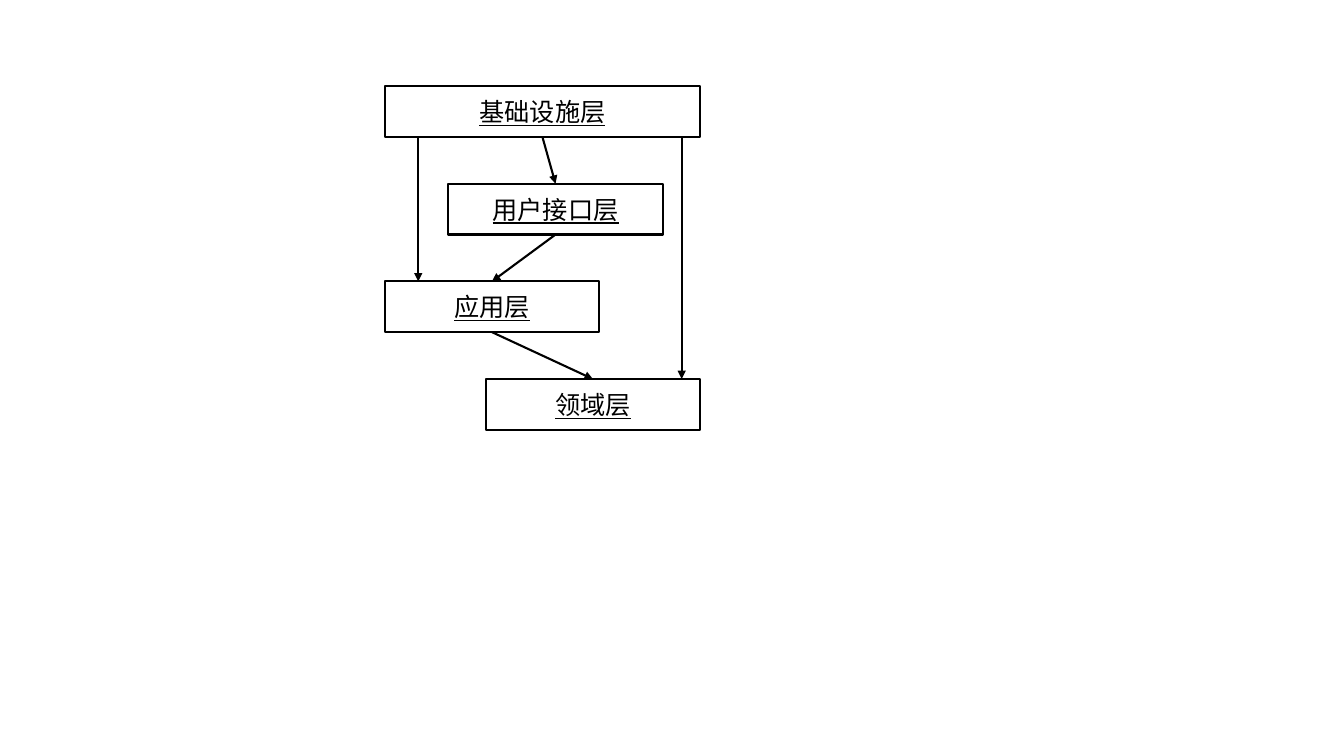
import pptx
import pptx.util
from lxml import etree
from pptx.dml.color import RGBColor
from pptx.enum.shapes import MSO_CONNECTOR, MSO_SHAPE
from pptx.enum.text import MSO_ANCHOR, PP_ALIGN
from pptx.oxml.ns import qn
from pptx.util import Cm, Pt

# Layers from top to bottom: name, left and width in cm
LAYERS = [
    ("基础设施层", 9.7, 7.94),
    ("用户接口层", 11.3, 5.4),
    ("应用层", 9.7, 5.4),
    ("领域层", 12.24, 5.4),
]
# Arrows between box centres: from layer, to layer
CENTRE_ARROWS = [(0, 1), (1, 2), (2, 3)]
# Vertical arrows: from layer, to layer, x in cm
VERTICAL_ARROWS = [(0, 2, 10.54), (0, 3, 17.18)]

FIRST_TOP, ROW_PITCH, BOX_HEIGHT = 2.17, 2.46, 1.28
BLACK = RGBColor(0x00, 0x00, 0x00)
FONT_NAME = "Noto Sans CJK SC"
FONT_FORMAT = {"name": FONT_NAME, "size": Pt(18), "underline": True}


def draw_outline(line):
    line.color.rgb = BLACK
    line.width = Pt(1.5)


def add_layer(slide, row, name, left, width):
    top = FIRST_TOP + row * ROW_PITCH
    box = slide.shapes.add_shape(
        MSO_SHAPE.RECTANGLE, Cm(left), Cm(top), Cm(width), Cm(BOX_HEIGHT))
    box.shadow.inherit = False
    box.fill.background()
    draw_outline(box.line)
    box.text_frame.vertical_anchor = MSO_ANCHOR.MIDDLE
    paragraph = box.text_frame.paragraphs[0]
    paragraph.alignment = PP_ALIGN.CENTER
    run = paragraph.add_run()
    run.text = name
    for attribute, value in FONT_FORMAT.items():
        setattr(run.font, attribute, value)
    run.font.color.rgb = BLACK
    # Chinese characters take the East Asian typeface
    latin = run.font._element.find(qn("a:latin"))
    east_asian = etree.Element(qn("a:ea"), typeface=FONT_NAME)
    latin.addnext(east_asian)
    return box


def centre_x(box):
    return box.left + box.width // 2


def add_arrow(slide, source, target, start_x, end_x):
    """Run from the bottom edge of source to the top edge of target."""
    arrow = slide.shapes.add_connector(
        MSO_CONNECTOR.STRAIGHT,
        start_x, source.top + source.height, end_x, target.top)
    draw_outline(arrow.line)
    properties = arrow._element.spPr
    etree.SubElement(properties.find(qn("a:ln")), qn("a:tailEnd"), type="triangle")
    etree.SubElement(properties, qn("a:effectLst"))


def main():
    presentation = pptx.Presentation()
    presentation.slide_width = Cm(33.87)
    presentation.slide_height = Cm(19.05)
    slide = presentation.slides.add_slide(presentation.slide_layouts[6])

    boxes = [add_layer(slide, row, *layer) for row, layer in enumerate(LAYERS)]
    for start, end in CENTRE_ARROWS:
        source, target = boxes[start], boxes[end]
        add_arrow(slide, source, target, centre_x(source), centre_x(target))
    for start, end, x in VERTICAL_ARROWS:
        add_arrow(slide, boxes[start], boxes[end], Cm(x), Cm(x))

    presentation.save("out.pptx")


if __name__ == "__main__":
    main()
